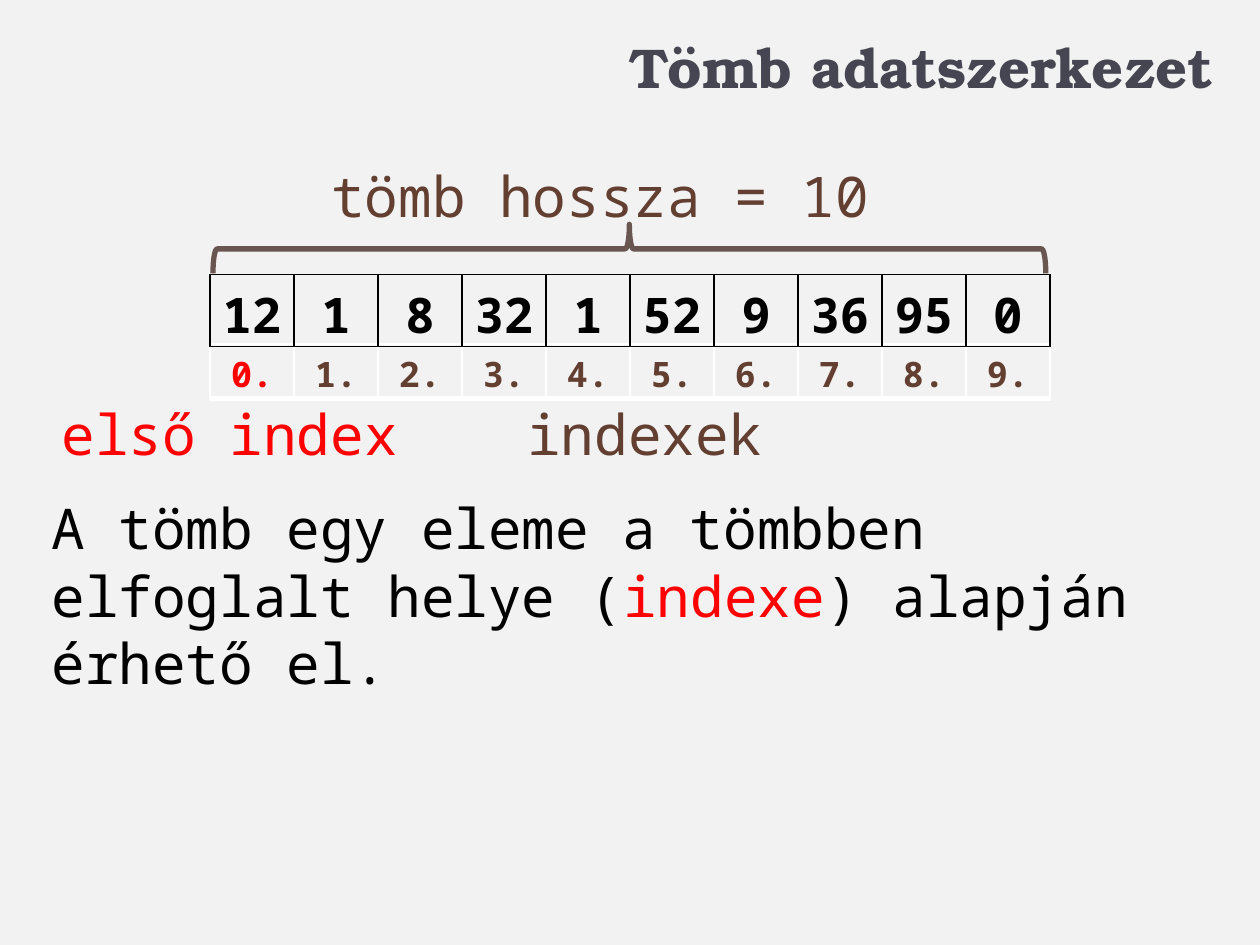
from dataclasses import dataclass
from lxml.etree import SubElement
from pptx import Presentation
from pptx.dml.color import RGBColor
from pptx.enum.shapes import MSO_SHAPE as SHAPE
from pptx.enum.text import MSO_ANCHOR as ANCHOR, MSO_AUTO_SIZE as AUTO, PP_ALIGN as ALIGN
from pptx.oxml.ns import qn
from pptx.slide import Slide
from pptx.util import Emu, Inches, Pt

BACKGROUND = RGBColor(0xF2, 0xF2, 0xF2)
SLATE = RGBColor(0x46, 0x46, 0x53)
BROWN = RGBColor(0x63, 0x3F, 0x32)
BRACE = RGBColor(0x6A, 0x56, 0x50)
RED = RGBColor(0xFF, 0, 0)
BLACK = RGBColor(0, 0, 0)
WHITE = RGBColor(0xFF, 0xFF, 0xFF)
COLS, ROWS = 100, 75


def add_text(p, text, font="Noto Sans Mono", size=32, color=BLACK, bold=False):
    r = p.add_run()
    r.text = text
    r.font.name, r.font.size, r.font.bold = font, Pt(size), bold
    r.font.color.rgb = color


@dataclass
class Deck:
    s: Slide
    width: int
    height: int
    title_font: str = "TeX Gyre Bonum"

    def box(self, left, top, width, height):
        col, row = self.width / COLS, self.height / ROWS
        return [Emu(round(v)) for v in (left * col, top * row, width * col, height * row)]

    def title(self, text, *place):
        sp = self.s.shapes.title
        sp.left, sp.top, sp.width, sp.height = self.box(*place)
        tf = sp.text_frame
        tf.vertical_anchor, tf.auto_size = ANCHOR.BOTTOM, AUTO.NONE
        p = tf.paragraphs[0]
        p.alignment = ALIGN.RIGHT
        add_text(p, text, font=self.title_font, color=SLATE, bold=True)

    def text(self, runs, *place, align=ALIGN.CENTER, after=18):
        tf = self.s.shapes.add_textbox(*self.box(*place)).text_frame
        tf.word_wrap, tf.auto_size = True, AUTO.SHAPE_TO_FIT_TEXT
        p = tf.paragraphs[0]
        p.alignment, p.space_after = align, Pt(after)
        for text, color in runs:
            add_text(p, text, color=color)

    def table(self, values, *place, size, colors, border, bottom=1):
        table = self.s.shapes.add_table(1, len(values), *self.box(*place)).table
        table.first_row = table.horz_banding = False
        for cell, value, color in zip(table.iter_cells(), values, colors):
            cell.margin_left = cell.margin_right = Inches(0.05)
            p = cell.text_frame.paragraphs[0]
            p.alignment = ALIGN.CENTER
            add_text(p, value, size=size, color=color, bold=True)
            tcPr = cell._tc.get_or_add_tcPr()
            for side, width in (("L", 1), ("R", 1), ("T", 1), ("B", bottom)):
                ln = SubElement(tcPr, qn(f"a:ln{side}"), w=str(Pt(width)))
                fill = SubElement(ln, qn("a:solidFill"))
                SubElement(fill, qn("a:srgbClr"), val=str(border))
            cell.fill.background()

    def brace(self, *place):
        sp = self.s.shapes.add_shape(SHAPE.RIGHT_BRACE, *self.box(*place))
        sp.rotation = 270
        sp.shadow.inherit = False
        sp.fill.background()
        sp.line.color.rgb, sp.line.width = BRACE, Pt(3)


def main():
    prs = Presentation()
    prs.slide_width, prs.slide_height = Inches(10), Inches(7.5)
    s = prs.slides.add_slide(prs.slide_layouts[5])
    s.background.fill.solid()
    s.background.fill.fore_color.rgb = BACKGROUND
    deck = Deck(s, prs.slide_width, prs.slide_height)

    values = "12 1 8 32 1 52 9 36 95 0".split()
    count = len(values)
    indexes = [f"{i}." for i in range(count)]

    deck.title("Tömb adatszerkezet", 1.2, 1.3, 96.1, 7.1)
    deck.text([("A tömb egy eleme a tömbben elfoglalt helye (", BLACK), ("indexe", RED),
               (") alapján érhető el.", BLACK)],
              3.1, 38.7, 96.1, 11.8, align=ALIGN.LEFT, after=0)
    deck.table(indexes, 16.67, 27.3, 66.67, 4.3, size=20,
               colors=[RED] + [BROWN] * (count - 1), border=WHITE, bottom=3)
    deck.table(values, 16.67, 21.8, 66.67, 5.7, size=28,
               colors=[BLACK] * count, border=BLACK)
    deck.text([("indexek", BROWN)], 39.8, 31.2, 22.8, 6.4)
    deck.text([("első index", RED)], 2.5, 31.2, 31.5, 6.4)
    deck.text([(f"tömb hossza = {count}", BROWN)], 24.8, 12.3, 45.7, 6.4)
    deck.brace(48, -13.3, 3.9, 66.1)
    prs.save("out.pptx")


if __name__ == "__main__":
    main()
